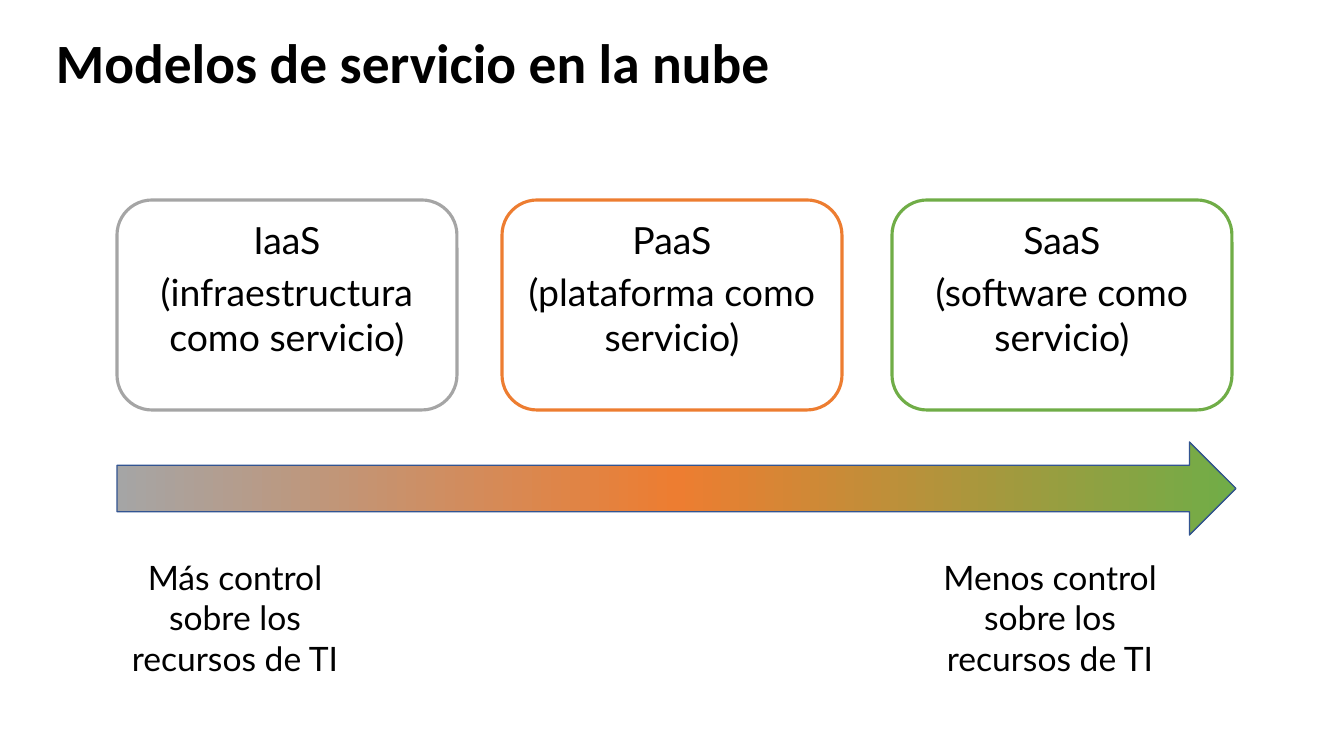
from copy import deepcopy

from pptx import Presentation
from pptx import util as u
from pptx.dml.color import RGBColor
from pptx.enum import shapes, text
from pptx.oxml.ns import qn

BLACK = RGBColor(0x00, 0x00, 0x00)
WHITE = RGBColor(0xFF, 0xFF, 0xFF)
GRAY = RGBColor(0xA5, 0xA5, 0xA5)
ORANGE = RGBColor(0xED, 0x7D, 0x31)
GREEN = RGBColor(0x70, 0xAD, 0x47)
BLUE = RGBColor(0x32, 0x54, 0x91)


def px(n):
    return u.Emu(round(n * 914400 / 100.8))


class Deck:
    font = "Lato"

    def __init__(self):
        self.prs = Presentation()
        self.prs.slide_width = px(1344)
        self.prs.slide_height = px(756)
        self.slide = self.prs.slides.add_slide(self.prs.slide_layouts[6])

    def letter(self, shape, words, size, font=None, bold=False,
               align=text.PP_ALIGN.CENTER, gap=0):
        frame = shape.text_frame
        frame.word_wrap = True
        frame.text = words
        for i, para in enumerate(frame.paragraphs):
            para.alignment = align
            if i and gap:
                para.space_before = u.Pt(gap)
            for run in para.runs:
                run.font.name = font or self.font
                run.font.size = u.Pt(size)
                run.font.bold = bold
                run.font.color.rgb = BLACK
        return frame

    def label(self, x, y, w, h, words, size, **style):
        box = self.slide.shapes.add_textbox(px(x), px(y), px(w), px(h))
        return self.letter(box, words, size, **style)

    def title(self, x, y, w, h, words):
        frame = self.label(x, y, w, h, words, 39.6, font="Calibri",
                           bold=True, align=text.PP_ALIGN.LEFT)
        frame.vertical_anchor = text.MSO_ANCHOR.MIDDLE
        frame.paragraphs[0].line_spacing = 0.9

    def note(self, x, y, w, h, words):
        frame = self.label(x, y, w, h, words, 24)
        frame.auto_size = text.MSO_AUTO_SIZE.SHAPE_TO_FIT_TEXT

    def shape(self, kind, x, y, w, h, line, width):
        item = self.slide.shapes.add_shape(kind, px(x), px(y), px(w), px(h))
        item.shadow.inherit = False
        item.line.color.rgb = line
        item.line.width = u.Pt(width)
        return item

    def card(self, x, y, w, h, color, words):
        item = self.shape(shapes.MSO_SHAPE.ROUNDED_RECTANGLE,
                          x, y, w, h, color, 2.25)
        item.fill.solid()
        item.fill.fore_color.rgb = WHITE
        frame = self.letter(item, words, 26.7, gap=5.3)
        frame.vertical_anchor = text.MSO_ANCHOR.TOP
        frame.margin_left = frame.margin_right = px(13)
        frame.margin_top = frame.margin_bottom = px(7)

    def arrow(self, x, y, w, h, colors):
        item = self.shape(shapes.MSO_SHAPE.RIGHT_ARROW, x, y, w, h, BLUE, 1)
        item.fill.gradient()
        item.fill.gradient_angle = 0
        stops = item._element.spPr.find(".//" + qn("a:gsLst"))
        stops.append(deepcopy(stops[0]))
        for i, (stop, color) in enumerate(zip(item.fill.gradient_stops, colors)):
            stop.position = i / (len(colors) - 1)
            stop.color.rgb = color


def main():
    deck = Deck()
    deck.title(46, 40, 996, 52, "Modelos de servicio en la nube")
    for x, color, name, kind in (
        (117, GRAY, "IaaS", "infraestructura"),
        (502, ORANGE, "PaaS", "plataforma"),
        (892, GREEN, "SaaS", "software"),
    ):
        deck.card(x, 200, 340, 210, color, f"{name}\n({kind} como servicio)")
    deck.arrow(117, 442, 1119, 93, (GRAY, ORANGE, GREEN))
    for x, w, level in ((99, 272, "Más"), (916, 268, "Menos")):
        deck.note(x, 552, w, 132, f"{level} control sobre los recursos de TI")
    deck.prs.save("out.pptx")


if __name__ == "__main__":
    main()
